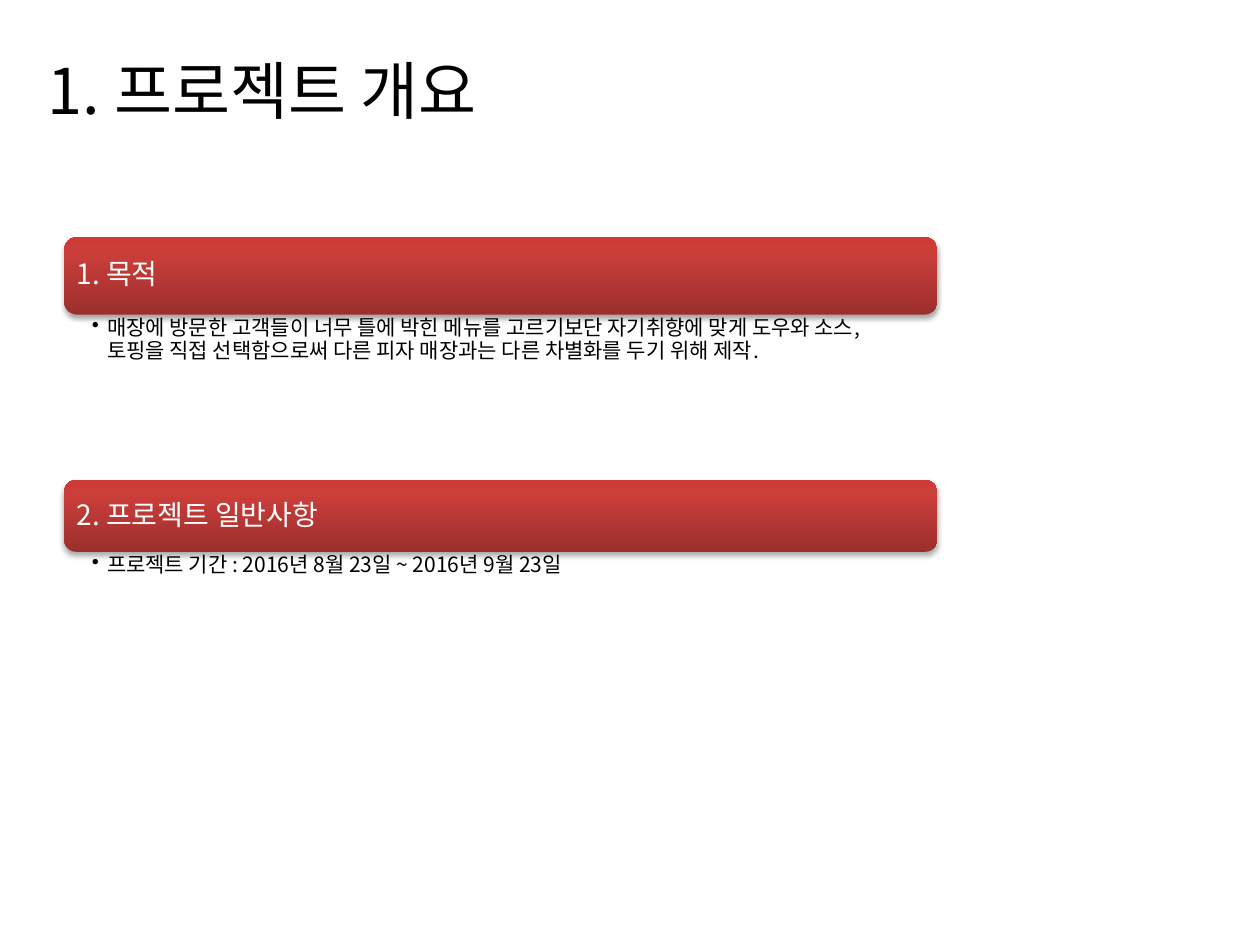
from lxml.etree import SubElement
from pptx import Presentation
from pptx.dml.color import RGBColor
from pptx.enum.shapes import MSO_SHAPE
from pptx.enum.text import MSO_ANCHOR, MSO_AUTO_SIZE, PP_ALIGN
from pptx.oxml.ns import qn
from pptx.util import Inches, Pt

WIDE, HIGH = 10, 7.5
FONT = "Noto Sans CJK KR"
BLACK = RGBColor(0x00, 0x00, 0x00)
WHITE = RGBColor(0xFF, 0xFF, 0xFF)
STOPS = [
    (0, RGBColor(0x9C, 0x2F, 0x2D)),
    (80, RGBColor(0xCB, 0x3E, 0x3A)),
    (100, RGBColor(0xCE, 0x3B, 0x37)),
]

# Panel edges and inner gap, as shares of the slide
LEFT, SPAN = 0.051, 0.693
GAP_X, GAP_Y = 0.003, 0.004

# Heading, text, top, bar height, text height
PARTS = [
    ("1. 목적",
     "매장에 방문한 고객들이 너무 틀에 박힌 메뉴를 고르기보단 자기취향에 맞게 도우와 소스, "
     "토핑을 직접 선택함으로써 다른 피자 매장과는 다른 차별화를 두기 위해 제작.",
     0.251, 0.082, 0.175),
    ("2. 프로젝트 일반사항",
     "프로젝트 기간 : 2016년 8월 23일 ~ 2016년 9월 23일",
     0.508, 0.076, 0.123),
]


def add(parent, tag, **attrs):
    return SubElement(parent, qn(tag), {k: str(v) for k, v in attrs.items()})


class Deck:
    def __init__(self):
        self.prs = Presentation()
        self.prs.slide_width = Inches(WIDE)
        self.prs.slide_height = Inches(HIGH)
        self.slide = self.prs.slides.add_slide(self.prs.slide_layouts[5])

    def place(self, x, y, w, h):
        return (Inches(x * WIDE), Inches(y * HIGH),
                Inches(w * WIDE), Inches(h * HIGH))

    def fill_text(self, frame, text, size, color):
        frame.word_wrap = True
        para = frame.paragraphs[0]
        para.text = text
        para.alignment = PP_ALIGN.LEFT
        font = para.font
        font.size, font.name, font.color.rgb = Pt(size), FONT, color
        for run in para.runs:
            add(run._r.get_or_add_rPr(), "a:ea", typeface=FONT)
        return para

    def title(self, text, *box):
        shape = self.slide.shapes.title
        shape.left, shape.top, shape.width, shape.height = self.place(*box)
        frame = shape.text_frame
        frame.vertical_anchor = MSO_ANCHOR.TOP
        frame.auto_size = MSO_AUTO_SIZE.SHAPE_TO_FIT_TEXT
        self.fill_text(frame, text, 36, BLACK)

    def bar(self, *box):
        shape = self.slide.shapes.add_shape(
            MSO_SHAPE.ROUNDED_RECTANGLE, *self.place(*box))
        shape.line.fill.background()
        shape.fill.gradient()
        shape.fill.gradient_angle = 90
        stops = shape._element.spPr.find(".//" + qn("a:gsLst"))
        stops.clear()
        for pos, color in STOPS:
            stop = add(stops, "a:gs", pos=pos * 1000)
            add(stop, "a:srgbClr", val=color)
        # Soft shadow below the bar
        shape.shadow.inherit = False
        effect = shape._element.spPr.find(qn("a:effectLst"))
        cast = add(effect, "a:outerShdw", blurRad=Pt(3.1), dist=Pt(1.8),
                   dir=5400000, rotWithShape=0)
        add(add(cast, "a:srgbClr", val=BLACK), "a:alpha", val=35000)

    def text(self, text, size, color, pads, after, *box):
        frame = self.slide.shapes.add_textbox(*self.place(*box)).text_frame
        (frame.margin_left, frame.margin_top,
         frame.margin_right, frame.margin_bottom) = map(Inches, pads)
        para = self.fill_text(frame, text, size, color)
        para.line_spacing = 0.9
        para.space_after = Pt(size * after)
        return frame

    def head(self, text, *box):
        frame = self.text(text, 16, WHITE, [0.07] * 4, 0.35, *box)
        frame.vertical_anchor = MSO_ANCHOR.MIDDLE

    def point(self, text, *box):
        pads = (0.22, 0.02, 0.12, 0.02)
        para = self.text(text, 12, BLACK, pads, 0.2, *box).paragraphs[0]
        para.level = 1
        props = para._p.get_or_add_pPr()
        props.set("marL", str(Inches(0.12)))
        props.set("indent", str(-Inches(0.12)))
        mark = add(props, "a:buChar", char="•")
        props.find(qn("a:defRPr")).addprevious(mark)


def main():
    deck = Deck()
    deck.title("1. 프로젝트 개요", 0.028, 0.048, 0.472, 0.095)

    # Red bar, its heading, and the bullet below
    for head, body, top, bar, room in PARTS:
        deck.bar(LEFT, top, SPAN, bar)
        deck.head(head, LEFT + GAP_X, top + GAP_Y,
                  SPAN - 2 * GAP_X, bar - 2 * GAP_Y)
        deck.point(body, LEFT, top + bar, SPAN, room)

    deck.prs.save("out.pptx")


if __name__ == "__main__":
    main()
